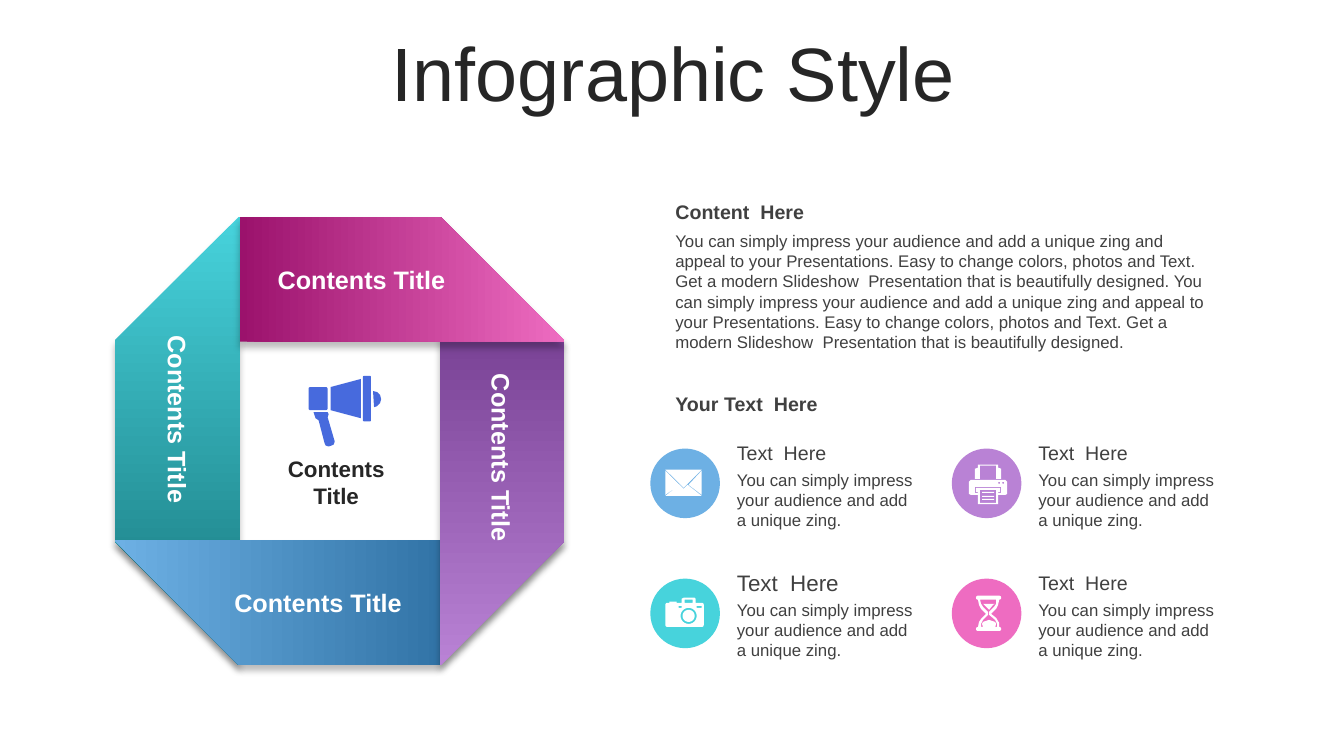
from dataclasses import dataclass
from math import cos, pi, sin

from lxml.etree import SubElement
from pptx import Presentation
from pptx.dml.color import RGBColor as Rgb
from pptx.enum.shapes import MSO_SHAPE as Shape
from pptx.enum.text import MSO_ANCHOR as Anchor, MSO_AUTO_SIZE as Fit, PP_ALIGN as Align
from pptx.oxml.ns import qn
from pptx.util import Pt

PX = 9144


@dataclass(frozen=True)
class Theme:
    """Colours, font and type sizes of the slide."""
    font: str = "Arial"
    ink: str = "262626"
    text: str = "404040"
    white: str = "FFFFFF"
    accent: str = "476ADD"
    blue: str = "6DB0E4"
    navy: str = "1A5C8E"
    teal: str = "47D3DC"
    pine: str = "17747A"
    lilac: str = "B982D5"
    plum: str = "622A7E"
    pink: str = "EE6CC1"
    wine: str = "9B126C"
    title: int = 54
    band: int = 18
    mid: int = 16
    head: int = 14
    body: int = 12


T = Theme()
LABEL = "Contents Title"
HEAD = "Text  Here"
BLURB = "You can simply impress your audience and add a unique zing."
PITCH = ("You can simply impress your audience and add a unique zing and appeal to your "
         "Presentations. Easy to change colors, photos and Text. Get a modern Slideshow  "
         "Presentation that is beautifully designed.")


def box(left, top, right, bottom, rad=0):
    """Return the outline of a rectangle with rounded corners."""
    if not rad:
        return [(left, top), (right, top), (right, bottom), (left, bottom)]
    hubs = [(right - rad, bottom - rad), (left + rad, bottom - rad),
            (left + rad, top + rad), (right - rad, top + rad)]
    return [(x + rad * cos((6 * k + i) * pi / 12), y + rad * sin((6 * k + i) * pi / 12))
            for k, (x, y) in enumerate(hubs) for i in range(7)]


MAIL = [
    [(682, 481), (696, 492), (660, 492), (674, 481), (678, 485)],
    [(696, 467), (696, 491), (683, 481)],
    [(660, 467), (674, 481), (660, 491)],
    [(660, 466), (696, 466), (678, 484)],
]
PRINTER = [
    [(963, 476), (997, 476), (999, 478), (999, 490), (997, 491), (990, 491), (990, 500),
     (970, 500), (970, 491), (963, 491), (961, 490), (961, 478)],
    [(970, 461), (990, 461), (990, 464), (993, 465), (993, 475), (988, 475), (988, 462),
     (972, 462), (972, 475), (967, 475), (967, 465), (970, 464)],
    [(967, 483), (993, 483), (993, 489), (990, 489), (990, 488), (992, 488), (992, 484),
     (968, 484), (968, 488), (970, 488), (970, 489), (967, 489)],
    box(972, 486, 988, 499),
    *[box(974, y, 986, y + 1) for y in (488, 492, 495)],
    *[box(x, 478, x + 2, 480, 1) for x in (990, 994)],
]
CAMERA = [
    box(660, 598, 698, 622, 2),
    box(664, 597, 671, 598),
    [(676, 598), (676, 594), (678, 593), (689, 593), (690, 594), (690, 598),
     (687, 598), (687, 595), (679, 595), (679, 598)],
    box(675, 603, 691, 619, 8),
    box(677, 605, 689, 617, 6),
    box(673, 601, 676, 603),
    box(691, 601, 696, 603),
]
GLASS = [
    box(968, 591, 993, 595, 2),
    box(968, 622, 993, 626, 2),
    [(970, 595), (991, 595), (990, 600), (988, 604), (983, 609), (988, 613), (991, 618),
     (991, 622), (970, 622), (971, 617), (973, 614), (978, 609), (973, 604), (971, 600)],
    [(972, 595), (988, 595), (988, 599), (986, 602), (981, 607), (981, 610), (987, 615),
     (989, 619), (989, 622), (973, 622), (973, 619), (975, 615), (980, 610), (980, 607),
     (975, 602), (973, 599)],
    [(975, 599), (987, 599), (985, 600), (981, 605), (976, 600)],
    [(981, 615), (987, 617), (988, 619), (987, 622), (975, 622), (974, 619), (975, 617)],
]
HORN = [
    [(311, 409), (325, 409), (326, 411), (325, 414), (332, 438), (331, 441), (329, 442),
     (326, 443), (323, 442), (322, 440), (316, 417), (313, 415)],
    box(306, 384, 325, 407, 2),
    [(328, 384), (358, 376), (358, 415), (328, 407)],
    box(360, 373, 368, 418, 1),
    [(370, 388), (374, 389), (377, 392), (378, 396), (377, 400), (374, 403), (371, 404)],
]
BANDS = [
    ([(238, 660), (237, 660), (114, 537), (114, 338), (237, 215), (238, 215)],
     T.teal, T.pine, 270),
    ([(114, 536), (560, 536), (560, 537), (437, 660), (237, 660), (114, 537)],
     T.blue, T.navy, 0),
    ([(436, 215), (437, 215), (560, 338), (560, 537), (437, 660), (436, 660)],
     T.plum, T.lilac, 270),
    ([(238, 215), (437, 215), (560, 338), (560, 339), (238, 339)],
     T.wine, T.pink, 0),
]
LABELS = [(258, 257, 0), (215, 578, 0), (397, 434, 90), (76, 396, 90)]
CARDS = [
    (T.blue, MAIL, T.head), (T.lilac, PRINTER, T.head),
    (T.teal, CAMERA, T.mid), (T.pink, GLASS, T.head),
]


def place(*sizes):
    """Turn px lengths into EMU."""
    return [round(size * PX) for size in sizes]


def style(para, size, color, bold=False, align=Align.LEFT):
    """Set the font and alignment of a paragraph."""
    para.alignment = align
    font = para.font
    font.name, font.size, font.bold = T.font, Pt(size), bold
    font.color.rgb = Rgb.from_string(color)


def write(slide, spot, text, size, color=T.text, bold=False, align=Align.LEFT,
          anchor=Anchor.TOP, turn=0):
    """Add a wrapped text box, one paragraph for each line of text."""
    area = slide.shapes.add_textbox(*place(*spot))
    area.rotation = turn
    frame = area.text_frame
    frame.word_wrap = True
    frame.vertical_anchor = anchor
    frame.text = text
    for para in frame.paragraphs:
        style(para, size, color, bold, align)


def paint(shape, color):
    """Give a shape a flat fill without line or shadow."""
    shape.fill.solid()
    shape.fill.fore_color.rgb = Rgb.from_string(color)
    shape.line.fill.background()
    shape.shadow.inherit = False


def draw(slide, parts, color):
    """Add one filled shape from closed outlines."""
    pen = None
    for part in parts:
        start, *rest = [place(*point) for point in part]
        if pen is None:
            pen = slide.shapes.build_freeform(*start)
        else:
            pen.move_to(*start)
        pen.add_line_segments(rest, close=True)
    shape = pen.convert_to_shape()
    paint(shape, color)
    return shape


def fold(slide, part, first, last, angle):
    """Add a folded band with a gradient and a soft shadow."""
    shape = draw(slide, [part], first)
    shape.fill.gradient()
    shape.fill.gradient_angle = angle
    for stop, color in zip(shape.fill.gradient_stops, (first, last)):
        stop.color.rgb = Rgb.from_string(color)
    effects = shape._element.spPr.find(qn("a:effectLst"))
    shade = SubElement(effects, qn("a:outerShdw"), blurRad=str(Pt(5)), dist=str(Pt(4)),
                       dir="5400000", algn="ctr", rotWithShape="0")
    tone = SubElement(shade, qn("a:srgbClr"), val="000000")
    SubElement(tone, qn("a:alpha"), val="25000")


def card(slide, left, top, color, icon, size):
    """Add a round icon with its heading and blurb."""
    disc = slide.shapes.add_shape(Shape.OVAL, *place(left, top, 69, 69))
    paint(disc, color)
    draw(slide, icon, T.white)
    write(slide, (left + 76, top - 13, 199, 34), HEAD, size, anchor=Anchor.MIDDLE)
    write(slide, (left + 76, top + 16, 199, 71), BLURB, T.body)


def headline(slide, text):
    """Place and format the title."""
    title = slide.shapes.title
    title.left, title.top, title.width, title.height = place(35, 37, 1266, 79)
    frame = title.text_frame
    frame.text = text
    frame.auto_size = Fit.NONE
    frame.vertical_anchor = Anchor.MIDDLE
    frame.paragraphs[0].line_spacing = 0.9
    style(frame.paragraphs[0], T.title, T.ink, align=Align.CENTER)


def main():
    """Build the slide and save it."""
    deck = Presentation()
    deck.slide_width, deck.slide_height = place(1333, 750)
    slide = deck.slides.add_slide(deck.slide_layouts[5])
    headline(slide, "Infographic Style")
    for band in BANDS:
        fold(slide, *band)
    for left, top, turn in LABELS:
        write(slide, (left, top, 201, 40), LABEL, T.band, T.white, True, Align.CENTER, turn=turn)
    draw(slide, HORN, T.accent)
    write(slide, (250, 447, 167, 64), "Contents\nTitle", T.mid, T.ink, True, Align.CENTER)
    write(slide, (660, 193, 559, 34), "Content  Here", T.head, bold=True)
    write(slide, (660, 224, 557, 131), f"{PITCH} {PITCH}", T.body)
    write(slide, (660, 384, 177, 34), "Your Text  Here", T.head, bold=True)
    for i, item in enumerate(CARDS):
        row, col = divmod(i, 2)
        card(slide, 645 + 299 * col, 445 + 129 * row, *item)
    deck.save("out.pptx")


if __name__ == "__main__":
    main()
